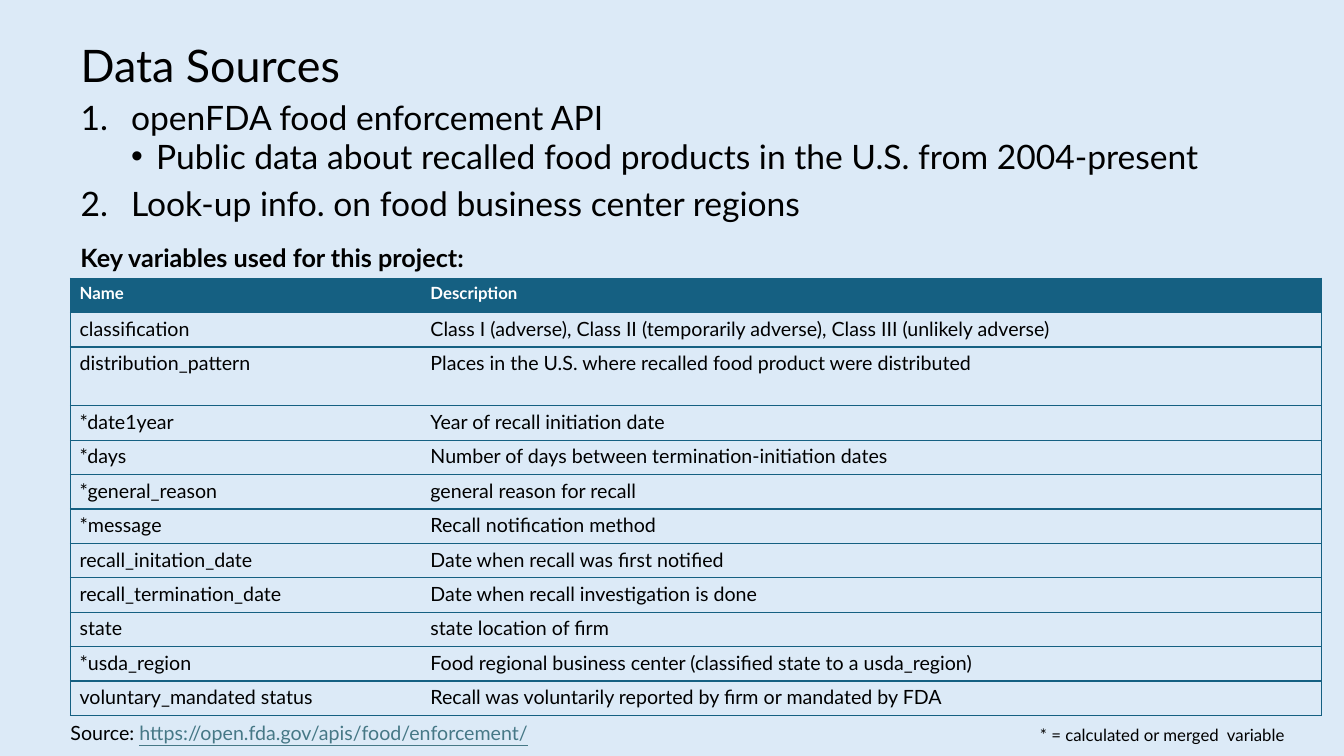
import pptx
import pptx.dml.color
import pptx.enum.text
import pptx.oxml
import pptx.oxml.ns
import pptx.util

Pt = pptx.util.Pt
RGBColor = pptx.dml.color.RGBColor

BACKGROUND = RGBColor(0xDC, 0xEA, 0xF7)
BLACK = RGBColor(0x00, 0x00, 0x00)
WHITE = RGBColor(0xFF, 0xFF, 0xFF)
TEAL = RGBColor(0x15, 0x60, 0x82)
LINK = RGBColor(0x46, 0x78, 0x86)
FONT = "Lato"
NAMESPACE = pptx.oxml.ns.nsdecls("a")
LEFT = 50.4

NUMBER = '<a:buAutoNum {} type="arabicPeriod"/>'
BULLET = '<a:buChar {} char="•"/>'
SOURCES = [
    ("openFDA food enforcement API", 0, NUMBER),
    ("Public data about recalled food products in the U.S. from 2004-present", 1, BULLET),
    ("Look-up info. on food business center regions", 0, NUMBER),
]
VARIABLES = [
    ("Name", "Description"),
    ("classification", "Class I (adverse), Class II (temporarily adverse), Class III (unlikely adverse)"),
    ("distribution_pattern", "Places in the U.S. where recalled food product were distributed"),
    ("*date1year", "Year of recall initiation date"),
    ("*days", "Number of days between termination-initiation dates"),
    ("*general_reason", "general reason for recall"),
    ("*message", "Recall notification method"),
    ("recall_initation_date", "Date when recall was first notified"),
    ("recall_termination_date", "Date when recall investigation is done"),
    ("state", "state location of firm"),
    ("*usda_region", "Food regional business center (classified state to a usda_region)"),
    ("voluntary_mandated status", "Recall was voluntarily reported by firm or mandated by FDA"),
]
TALL_ROW = 2


def format_span(span, size, color=BLACK, bold=False):
    """Give one run its font, size, colour and weight."""
    span.font.name = FONT
    span.font.size = Pt(size)
    span.font.color.rgb = color
    span.font.bold = bold


def place(shape, box):
    """Move a shape to a box of left, top, width and height."""
    shape.left, shape.top, shape.width, shape.height = map(Pt, box)


def fill_title(shape, box):
    """Write the slide title, bottom left in its box."""
    place(shape, box)
    frame = shape.text_frame
    frame.text = "Data Sources"
    frame.auto_size = pptx.enum.text.MSO_AUTO_SIZE.NONE
    frame.vertical_anchor = pptx.enum.text.MSO_ANCHOR.BOTTOM
    para = frame.paragraphs[0]
    para.alignment = pptx.enum.text.PP_ALIGN.LEFT
    para.line_spacing = 0.9
    format_span(para.runs[0], 32)


def fill_sources(shape, box):
    """Write the numbered data sources with their bulleted detail."""
    place(shape, box)
    frame = shape.text_frame
    frame.text = "\n".join(text for text, level, marker in SOURCES)
    frame.auto_size = pptx.enum.text.MSO_AUTO_SIZE.NONE
    for para, (text, level, marker) in zip(frame.paragraphs, SOURCES):
        para.level = level
        para.line_spacing = 0.8
        para.space_before = Pt(5 if level else 10)
        format_span(para.runs[0], 24)
        properties = para._p.get_or_add_pPr()
        properties.set("marL", str(Pt(54 if level else 36)))
        properties.set("indent", str(Pt(-18 if level else -36)))
        typeface = "Arial" if level else "+mj-lt"
        properties.append(pptx.oxml.parse_xml(f'<a:buFont {NAMESPACE} typeface="{typeface}"/>'))
        properties.append(pptx.oxml.parse_xml(marker.format(NAMESPACE)))


def add_caption(page, box, parts, size, bold=False, indent=0):
    """Add a one-line text box made of text and colour parts."""
    frame = page.shapes.add_textbox(*map(Pt, box)).text_frame
    frame.word_wrap = True
    para = frame.paragraphs[0]
    para._p.get_or_add_pPr().set("marL", str(Pt(indent)))
    for text, color in parts:
        span = para.add_run()
        span.text = text
        format_span(span, size, color, bold)
        span.font.underline = color == LINK


def set_borders(cell, visible):
    """Draw the visible sides of a cell in teal and hide the others."""
    properties = cell._tc.get_or_add_tcPr()
    solid = f'<a:solidFill><a:srgbClr val="{TEAL}"/></a:solidFill>'
    for side in "LRTB":
        paint = solid if side in visible else "<a:noFill/>"
        properties.append(pptx.oxml.parse_xml(
            f'<a:ln{side} {NAMESPACE} w="{int(Pt(1))}">{paint}</a:ln{side}>'))


def add_variables(page, box):
    """Add the table of variable names and descriptions."""
    left, top, width, height = box
    table = page.shapes.add_table(len(VARIABLES), 2, *map(Pt, box)).table
    table.horz_banding = False
    name_width, tall_height = 250.6, 42
    table.columns[0].width = Pt(name_width)
    table.columns[1].width = Pt(width - name_width)
    row_height = (height - tall_height) / (len(VARIABLES) - 1)
    for row, texts in enumerate(VARIABLES):
        table.rows[row].height = Pt(tall_height if row == TALL_ROW else row_height)
        for column, text in enumerate(texts):
            cell = table.cell(row, column)
            cell.margin_left = cell.margin_right = Pt(6.5)
            cell.margin_top = cell.margin_bottom = Pt(3.2)
            set_borders(cell, "RTB" if column else "LTB")
            cell.text = text
            span = cell.text_frame.paragraphs[0].runs[0]
            if row == 0:
                cell.fill.solid()
                cell.fill.fore_color.rgb = TEAL
                format_span(span, 12, WHITE, True)
            else:
                cell.fill.background()
                format_span(span, 14)


def build_page(deck):
    """Add the data sources slide."""
    page = deck.slides.add_slide(deck.slide_layouts[1])
    page.background.fill.solid()
    page.background.fill.fore_color.rgb = BACKGROUND
    fill_title(page.shapes.title, (LEFT, 12.2, 788.4, 57.6))
    fill_sources(page.placeholders[1], (LEFT, 71.3, 819.4, 97.9))
    add_variables(page, (LEFT, 198.7, 893.5, 312.5))
    add_caption(page, (LEFT, 169.2, 480, 29), [("Key variables used for this project:", BLACK)], 18, bold=True)
    add_caption(page, (7.2, 511.2, 480, 24.2),
                [("Source: ", BLACK), ("https://open.fda.gov/apis/food/enforcement/", LINK)], 14, indent=36)
    add_caption(page, (735.8, 514.1, 224, 21.8), [("* = calculated or merged  variable", BLACK)], 12)


def main():
    """Build and save the deck."""
    deck = pptx.Presentation()
    deck.slide_width, deck.slide_height = Pt(960), Pt(540)
    build_page(deck)
    deck.save("out.pptx")


if __name__ == "__main__":
    main()
